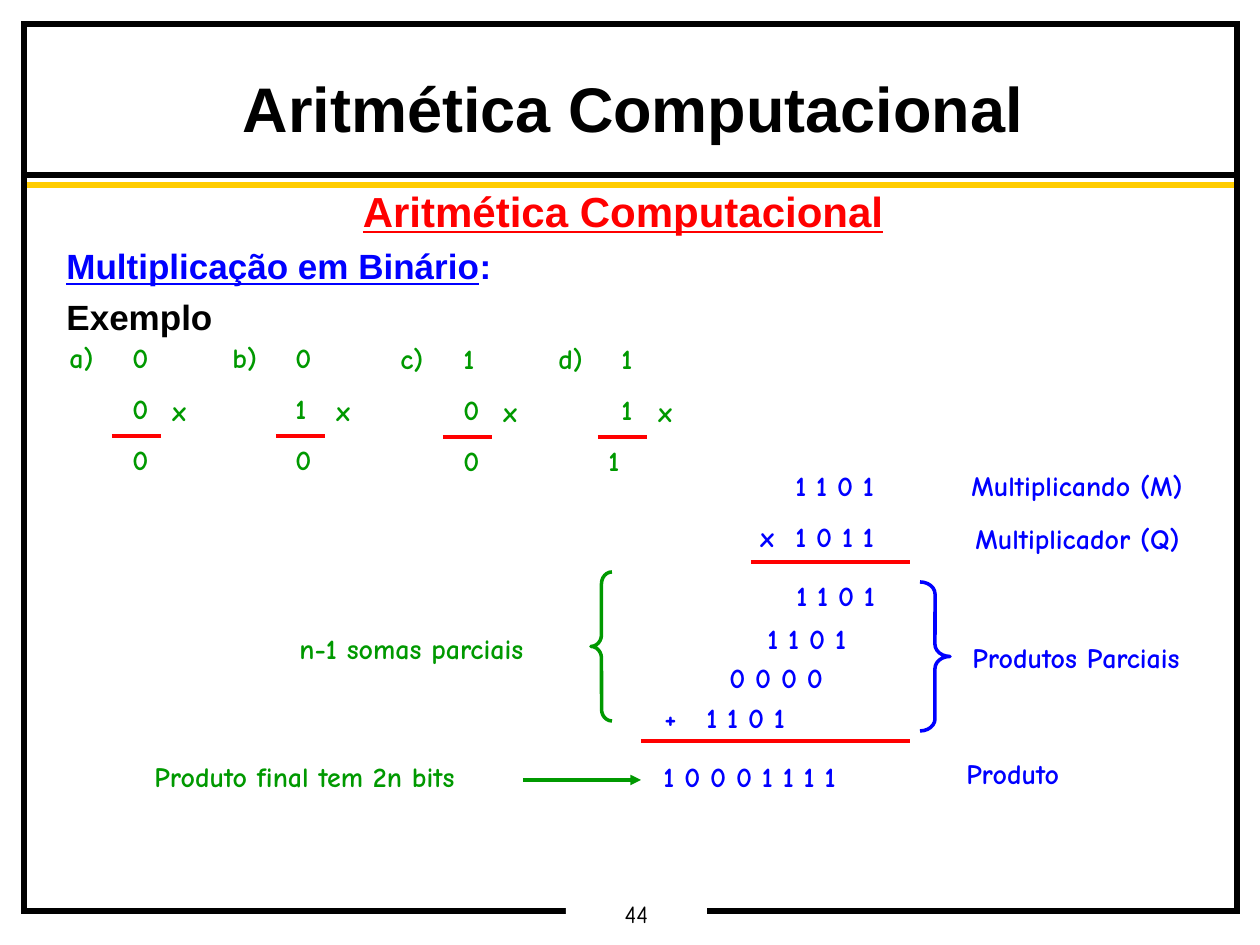
"""Build the binary multiplication slide."""
from lxml import etree
from pptx import Presentation
from pptx.dml.color import RGBColor
from pptx.enum.shapes import MSO_CONNECTOR, MSO_SHAPE
from pptx.enum.text import MSO_ANCHOR, MSO_AUTO_SIZE, PP_ALIGN
from pptx.oxml.ns import qn
from pptx.util import Pt

PX = 914400 / 126
BLACK = RGBColor(0, 0, 0)
WHITE = RGBColor(255, 255, 255)
RED = RGBColor(255, 0, 0)
BLUE = RGBColor(0, 0, 255)
GREEN = RGBColor(0, 153, 0)
GOLD = RGBColor(255, 204, 0)
STRAIGHT = MSO_CONNECTOR.STRAIGHT
RECT, LEFT_BRACE, RIGHT_BRACE = MSO_SHAPE.RECTANGLE, MSO_SHAPE.LEFT_BRACE, MSO_SHAPE.RIGHT_BRACE
MIDDLE, TOP = MSO_ANCHOR.MIDDLE, MSO_ANCHOR.TOP
NO_FIT = MSO_AUTO_SIZE.NONE
CENTER = PP_ALIGN.CENTER


def add_text(x, y, w, h, lines, color):
    sp = slide.shapes.add_textbox(*[round(v * PX) for v in (x, y, w, h)])
    tf = sp.text_frame
    tf.word_wrap = True
    tf.text = "\n".join(lines)
    for i, p in enumerate(tf.paragraphs):
        if i:
            p.space_before = Pt(10)
        for r in p.runs:
            r.font.name, r.font.size, r.font.bold = "Comic Neue", Pt(16), True
            r.font.color.rgb = color
    return tf


def add_line(x1, y1, x2, y2, color, width=2):
    line = slide.shapes.add_connector(STRAIGHT, *[round(v * PX) for v in (x1, y1, x2, y2)])
    line.line.color.rgb = color
    line.line.width = Pt(width)
    etree.SubElement(line._element.spPr, qn("a:effectLst"))
    return line


prs = Presentation()
prs.slide_width, prs.slide_height = round(1260 * PX), round(945 * PX)
slide = prs.slides.add_slide(prs.slide_layouts[5])

add_line(25, 175, 1240, 175, BLACK, 3)
add_line(25, 185, 1240, 185, GOLD, 3)
frame = slide.shapes.add_shape(RECT, *[round(v * PX) for v in (24, 24, 1213, 887)])
frame.shadow.inherit = False
frame.fill.background()
frame.line.color.rgb = BLACK
frame.line.width = Pt(3)
etree.SubElement(frame.line._get_or_add_ln(), qn("a:miter"), lim="800000")

page = slide.shapes.add_shape(RECT, *[round(v * PX) for v in (566, 897, 141, 34)])
page.shadow.inherit = False
page.fill.solid()
page.fill.fore_color.rgb = WHITE
page.line.fill.background()
tf = page.text_frame
tf.text = "44"
tf.vertical_anchor = MIDDLE
p = tf.paragraphs[0]
p.alignment = CENTER
font = p.runs[0].font
font.name, font.size, font.color.rgb = "Comic Neue", Pt(14), BLACK

title = slide.shapes.title
title.left, title.top, title.width, title.height = [round(v * PX) for v in (25, 72, 1216, 79)]
tf = title.text_frame
tf.text = "Aritmética Computacional"
tf.auto_size = NO_FIT
tf.vertical_anchor = MIDDLE
p = tf.paragraphs[0]
p.alignment = CENTER
p.line_spacing = 0.95
font = p.runs[0].font
font.name, font.size, font.bold, font.color.rgb = "Arial", Pt(36), True, BLACK

body = slide.shapes.add_textbox(*[round(v * PX) for v in (54, 185, 1138, 160)])
tf = body.text_frame
tf.word_wrap = True
tf.vertical_anchor = TOP
tf.text = "Aritmética Computacional\nMultiplicação em Binário\nExemplo"
heading, topic, example = tf.paragraphs
heading.alignment = CENTER
topic.add_run().text = ":"
for p, size, color in ((heading, 24, RED), (topic, 20, BLUE), (example, 20, BLACK)):
    p.line_spacing = 0.9
    if p is not heading:
        p.space_before = Pt(7.5)
    for r in p.runs:
        r.font.name, r.font.size, r.font.bold = "Arial", Pt(size), True
        r.font.color.rgb = color
for p in (heading, topic):
    p.runs[0].font.underline = True

COLUMNS = [
    (57, 334, "000", 112, 63),
    (220, 334, "010", 276, 63),
    (388, 335, "100", 443, 63),
    (546, 335, "111", 598, 50),
]
for n, (x, y, digits, rule_x, result_indent) in enumerate(COLUMNS, 1):
    tf = add_text(x, y, 225, 149, digits, GREEN)
    for p, left in zip(tf.paragraphs, (63, 63, result_indent)):
        pPr = p._p.get_or_add_pPr()
        pPr.set("marL", str(round(left * PX)))
        pPr.set("indent", "0")
    pPr = tf.paragraphs[0]._p.pPr
    pPr.set("indent", str(round(-63 * PX)))
    clr = etree.SubElement(pPr, qn("a:buClr"))
    etree.SubElement(clr, qn("a:srgbClr"), val=str(GREEN))
    etree.SubElement(pPr, qn("a:buFont"), typeface="Comic Neue")
    etree.SubElement(pPr, qn("a:buAutoNum"), type="alphaLcParenR", startAt=str(n))
    add_line(rule_x, y + 102, rule_x + 49, y + 102, RED)
    add_text(rule_x + 48, y + 53, 45, 47, ["x"], GREEN)

LABELS = [
    (783, 462, 125, ["1 1 0 1", "1 0 1 1"], BLUE),
    (748, 513, 45, ["x"], BLUE),
    (959, 462, 256, ["Multiplicando (M)"], BLUE),
    (963, 515, 250, ["Multiplicador (Q)"], BLUE),
    (784, 572, 125, ["1 1 0 1"], BLUE),
    (755, 615, 125, ["1 1 0 1"], BLUE),
    (717, 654, 140, ["0 0 0 0"], BLUE),
    (694, 694, 125, ["1 1 0 1"], BLUE),
    (652, 694, 45, ["+"], BLUE),
    (960, 634, 256, ["Produtos Parciais"], BLUE),
    (954, 750, 140, ["Produto"], BLUE),
    (287, 625, 270, ["n-1 somas parciais"], GREEN),
    (142, 753, 346, ["Produto final tem 2n bits"], GREEN),
    (651, 753, 248, ["1 0 0 0 1 1 1 1"], BLUE),
]
for x, y, w, lines, color in LABELS:
    add_text(x, y, w, 47 + 51 * (len(lines) - 1), lines, color)

add_line(751, 562, 910, 562, RED)
add_line(641, 741, 910, 741, RED)
arrow = add_line(523, 780, 641, 780, GREEN)
etree.SubElement(arrow.line._get_or_add_ln(), qn("a:tailEnd"), type="triangle")

BRACES = [
    (RIGHT_BRACE, 920, 582, 30, BLUE, 0.4),
    (LEFT_BRACE, 591, 572, 21, GREEN, 0.56),
]
for kind, x, y, w, color, curve in BRACES:
    sp = slide.shapes.add_shape(kind, *[round(v * PX) for v in (x, y, w, 149)])
    sp.shadow.inherit = False
    sp.fill.background()
    sp.line.color.rgb = color
    sp.line.width = Pt(2)
    sp.adjustments[0] = curve

prs.save("out.pptx")
